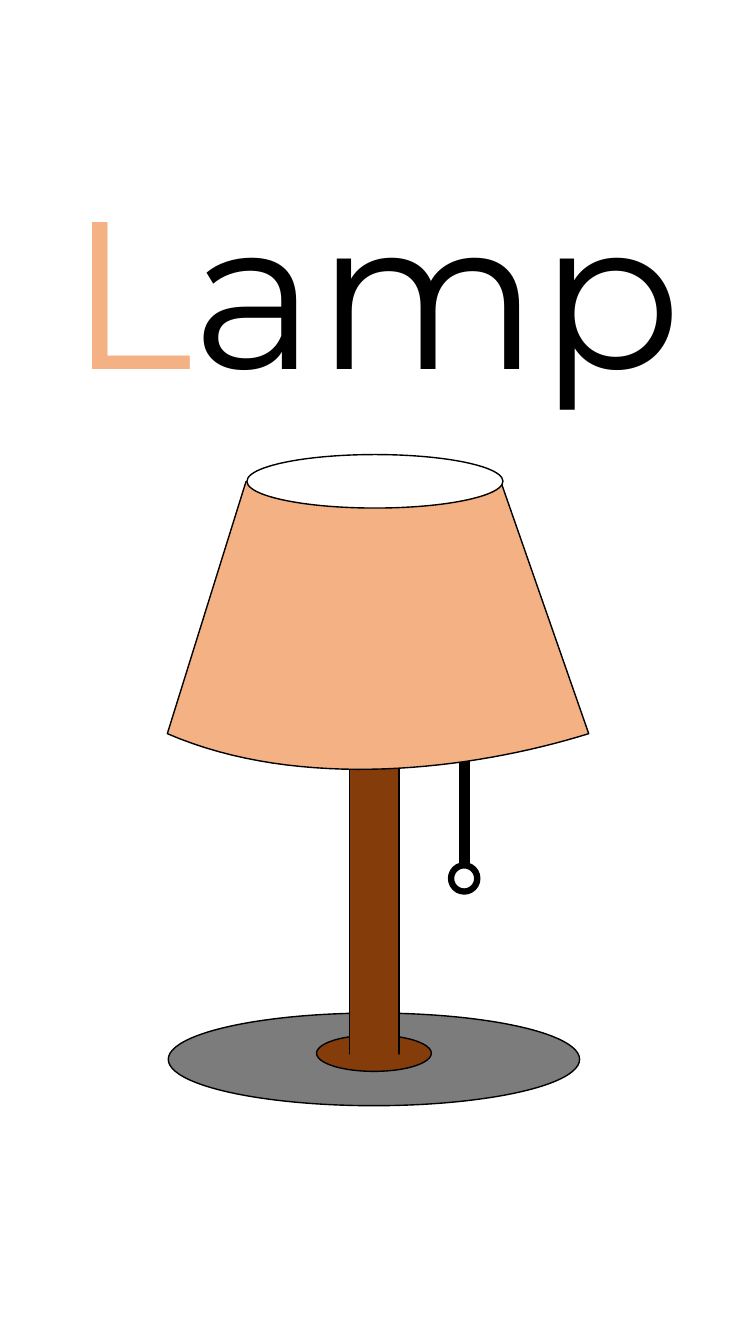
from pptx import Presentation
from pptx import util as u
from pptx.dml.color import RGBColor
from pptx.enum import shapes, text

BLACK = RGBColor(0x00, 0x00, 0x00)
WHITE = RGBColor(0xFF, 0xFF, 0xFF)
PEACH = RGBColor(0xF4, 0xB1, 0x83)
BROWN = RGBColor(0x84, 0x3C, 0x0B)
GRAY = RGBColor(0x7C, 0x7C, 0x7C)
FONT = "Montserrat"
CURVE_STEPS = 32


def paint(shape, fill, outlined=True):
    shape.shadow.inherit = False
    shape.fill.solid()
    shape.fill.fore_color.rgb = fill
    if outlined:
        shape.line.color.rgb = BLACK
        shape.line.width = u.Pt(1)
    else:
        shape.line.fill.background()


def bezier(points, steps):
    (x0, y0), (x1, y1), (x2, y2), (x3, y3) = points
    for step in range(steps + 1):
        t = step / steps
        s = 1 - t
        a, b, c, d = s ** 3, 3 * s * s * t, 3 * s * t * t, t ** 3
        yield a * x0 + b * x1 + c * x2 + d * x3, a * y0 + b * y1 + c * y2 + d * y3


def add_word(slide, left, top, width, height):
    title = slide.shapes.title
    title.left, title.top = u.Pt(left), u.Pt(top)
    title.width, title.height = u.Pt(width), u.Pt(height)
    frame = title.text_frame
    frame.auto_size = text.MSO_AUTO_SIZE.NONE
    frame.vertical_anchor = text.MSO_ANCHOR.TOP
    frame.word_wrap = True
    paragraph = frame.paragraphs[0]
    paragraph.alignment = text.PP_ALIGN.LEFT
    paragraph.line_spacing = 1.0
    paragraph.font.name = FONT
    paragraph.font.size = u.Pt(150)
    for letters, color in (("L", PEACH), ("amp", BLACK)):
        run = paragraph.add_run()
        run.text = letters
        run.font.color.rgb = color


def add_lamp(slide, left, top):
    lamp = slide.shapes.add_group_shape()
    kinds = shapes.MSO_SHAPE

    def add_part(kind, x, y, width, height, fill, outlined=True):
        shape = lamp.shapes.add_shape(
            kind, u.Pt(left + x), u.Pt(top + y), u.Pt(width), u.Pt(height))
        paint(shape, fill, outlined)
        return shape

    add_part(kinds.RECTANGLE, 208.8, 211.7, 7.2, 82, BLACK)
    pull_ring = add_part(kinds.DONUT, 200.9, 291.6, 22.3, 22.3, BLACK)
    pull_ring.adjustments[0] = 0.16
    add_part(kinds.OVAL, 0.7, 398.9, 293.8, 66.2, GRAY)
    add_part(kinds.OVAL, 106.6, 414.7, 82, 25.9, BROWN)
    add_part(kinds.RECTANGLE, 130.3, 175, 35.3, 255.6, BROWN)
    add_part(kinds.RECTANGLE, 129.6, 428.4, 39.6, 7.2, BROWN, outlined=False)

    hem = [(0, 199.4), (95, 240.5), (217.4, 225.4), (301, 199.4)]
    outline = [*bezier(hem, CURVE_STEPS), (239, 21.6), (56.2, 19.4)]
    points = [(u.Pt(left + x), u.Pt(top + y)) for x, y in outline]
    builder = lamp.shapes.build_freeform(*points[0])
    builder.add_line_segments(points[1:], close=True)
    paint(builder.convert_to_shape(), PEACH)

    add_part(kinds.OVAL, 56.9, 0, 182.9, 38.2, WHITE)


def main():
    presentation = Presentation()
    presentation.slide_width = u.Pt(540)
    presentation.slide_height = u.Pt(960)
    slide = presentation.slides.add_slide(presentation.slide_layouts[5])
    slide.background.fill.solid()
    slide.background.fill.fore_color.rgb = WHITE
    add_word(slide, 41.8, 110.2, 486, 189.4)
    add_lamp(slide, 119.5, 324.7)
    presentation.save("out.pptx")


if __name__ == "__main__":
    main()
